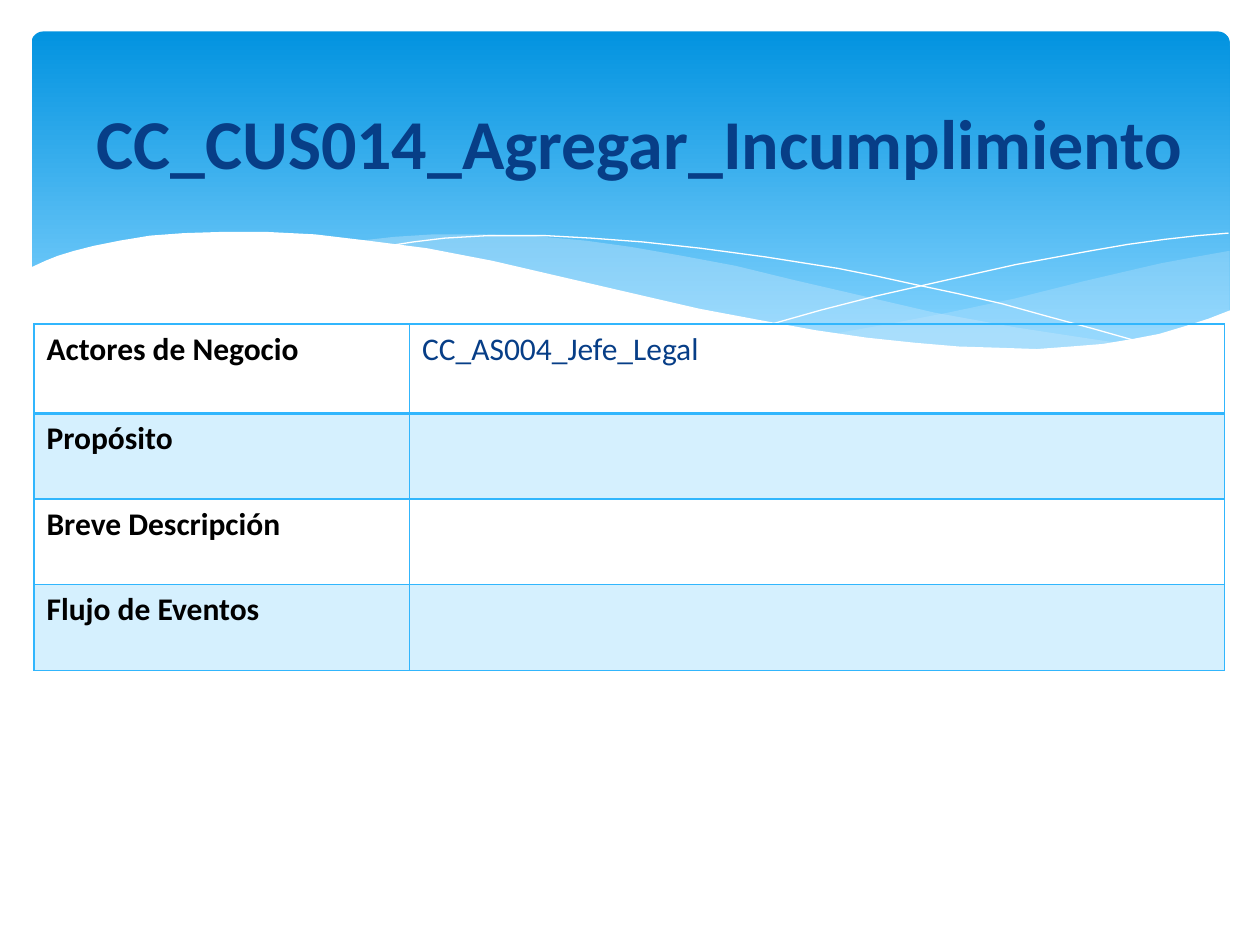
from lxml import etree
from pptx import Presentation
from pptx.dml.color import RGBColor
from pptx.enum.shapes import MSO_SHAPE
from pptx.enum.text import MSO_ANCHOR, PP_ALIGN
from pptx.oxml.ns import qn
from pptx.util import Inches, Pt

ROUNDED = MSO_SHAPE.ROUNDED_RECTANGLE
MIDDLE = MSO_ANCHOR.MIDDLE
CENTER = PP_ALIGN.CENTER

WHITE = RGBColor(0xFF, 0xFF, 0xFF)
BLACK = RGBColor(0x00, 0x00, 0x00)
NAVY = RGBColor(0x07, 0x3E, 0x87)
SKY = RGBColor(0x31, 0xB6, 0xFD)
PALE_BLUE = RGBColor(0xC6, 0xE7, 0xFC)
BANNER_TOP = RGBColor(0x02, 0x93, 0xE0)
BANNER_BOTTOM = RGBColor(0x83, 0xD3, 0xFE)
FONT = "Calibri"

RIGHT_WAVE = [
    (9.76, 1.99), (9.48, 2.04), (9.21, 2.09), (8.91, 2.16), (8.61, 2.23), (8.05, 2.37),
    (7.53, 2.48), (7.06, 2.57), (6.61, 2.65), (6.91, 2.69), (7.18, 2.72), (7.45, 2.75),
    (7.69, 2.77), (8.03, 2.78), (8.35, 2.77), (8.63, 2.75), (8.89, 2.72), (9.13, 2.67),
    (9.35, 2.61), (9.49, 2.57), (9.63, 2.52), (9.76, 2.47),
]
MIDDLE_WAVE = [
    (8.93, 2.73), (8.66, 2.69), (8.07, 2.6), (7.41, 2.48), (6.68, 2.31), (6.29, 2.22),
    (5.84, 2.11), (5.41, 2.03), (5.01, 1.96), (4.65, 1.91), (4.2, 1.87), (3.8, 1.86),
    (3.44, 1.86), (3.13, 1.88), (2.86, 1.91), (3.23, 1.96), (3.62, 2.03), (4.04, 2.11),
    (4.49, 2.22), (4.91, 2.32), (5.3, 2.4), (5.66, 2.48), (6.01, 2.55), (6.34, 2.61),
    (6.65, 2.66), (6.95, 2.7), (7.22, 2.74), (7.48, 2.76), (7.85, 2.78), (8.18, 2.78),
    (8.48, 2.77), (8.76, 2.75),
]
FALLING_LINE = [
    (3.09, 1.95), (3.28, 1.92), (3.53, 1.89), (3.87, 1.87), (4.33, 1.87), (4.69, 1.89),
    (5.1, 1.92), (5.56, 1.97), (6.08, 2.04), (6.65, 2.13), (6.95, 2.19), (7.27, 2.26),
    (7.6, 2.33), (7.95, 2.41), (8.31, 2.51), (8.68, 2.61), (9.07, 2.72),
]
RISING_LINE = [
    (6.13, 2.57), (6.52, 2.46), (6.95, 2.35), (7.48, 2.23), (8.06, 2.1), (8.66, 1.99),
    (8.95, 1.94), (9.24, 1.9), (9.51, 1.87), (9.75, 1.85),
]
WHITE_WAVE = [
    (9.77, 2.46), (9.59, 2.53), (9.4, 2.59), (9.2, 2.65), (8.99, 2.69), (8.75, 2.73),
    (8.5, 2.75), (8.23, 2.77), (7.93, 2.76), (7.61, 2.75), (7.26, 2.72), (6.88, 2.68),
    (6.47, 2.62), (6.03, 2.54), (5.55, 2.45), (5.03, 2.33), (4.47, 2.2), (3.91, 2.07),
    (3.65, 2.02), (3.39, 1.97), (2.92, 1.91), (2.5, 1.86), (2.11, 1.84), (1.77, 1.84),
    (1.46, 1.85), (1.19, 1.87), (0.95, 1.91), (0.75, 1.95), (0.59, 1.99), (0.46, 2.03),
    (0.36, 2.07), (0.23, 2.13), (0.23, 3.29), (9.77, 3.29),
]
WAVES = [
    # points, fill colour (None for an open line), opacity in percent
    (RIGHT_WAVE, PALE_BLUE, 29),
    (MIDDLE_WAVE, PALE_BLUE, 40),
    (FALLING_LINE, None, 100),
    (RISING_LINE, None, 100),
    (WHITE_WAVE, WHITE, 100),
]
ROWS = [
    ("Actores de Negocio", "CC_AS004_Jefe_Legal"),
    ("Propósito", ""),
    ("Breve Descripción", ""),
    ("Flujo de Eventos", ""),
]


def fill_solid(fill, color, opacity, properties):
    """Fill with a colour; opacity is in percent, properties is the fill's parent element."""
    fill.solid()
    fill.fore_color.rgb = color
    if opacity < 100:
        color_element = properties.find(qn("a:solidFill"))[0]
        etree.SubElement(color_element, qn("a:alpha"), val=str(opacity * 1000))


def set_borders(cell, color, widths):
    """Draw the cell's borders; widths are points for left, right, top and bottom."""
    properties = cell._tc.get_or_add_tcPr()
    for index, (side, width) in enumerate(zip("LRTB", widths)):
        line = etree.Element(qn(f"a:ln{side}"), w=str(Pt(width)))
        solid = etree.SubElement(line, qn("a:solidFill"))
        etree.SubElement(solid, qn("a:srgbClr"), val=str(color))
        properties.insert(index, line)


presentation = Presentation()
presentation.slide_width = Inches(10)
presentation.slide_height = Inches(7.5)
slide = presentation.slides.add_slide(presentation.slide_layouts[5])

# Banner
banner = slide.shapes.add_shape(ROUNDED, Inches(0.25), Inches(0.25), Inches(9.51), Inches(2.7))
banner.adjustments[0] = 0.034
banner.shadow.inherit = False
banner.line.fill.background()
banner.fill.gradient()
banner.fill.gradient_angle = 270
stops = [(0, BANNER_TOP), (0.9, BANNER_BOTTOM)]
for stop, (position, color) in zip(banner.fill.gradient_stops, stops):
    stop.position = position
    stop.color.rgb = color

# Waves along the banner's lower edge
for points, color, opacity in WAVES:
    start, *others = [(Inches(x), Inches(y)) for x, y in points]
    builder = slide.shapes.build_freeform(*start)
    builder.add_line_segments(others, close=color is not None)
    wave = builder.convert_to_shape()
    wave.shadow.inherit = False
    if color is None:
        wave.fill.background()
        wave.line.color.rgb = WHITE
        wave.line.width = Pt(0)
    else:
        fill_solid(wave.fill, color, opacity, wave._element.spPr)
        wave.line.fill.background()

# Title, brought in front of the banner
title = slide.shapes.title
slide.shapes._spTree.append(title._element)
title.left, title.top = Inches(0.43), Inches(0.44)
title.width, title.height = Inches(9.29), Inches(1.37)
title.text_frame.text = "CC_CUS014_Agregar_Incumplimiento"
title.text_frame.vertical_anchor = MIDDLE
paragraph = title.text_frame.paragraphs[0]
paragraph.alignment = CENTER
paragraph.font.name = FONT
paragraph.font.size = Pt(40)
paragraph.font.bold = True
paragraph.font.color.rgb = NAVY

# Use case table
table = slide.shapes.add_table(
    len(ROWS), 2, Inches(0.27), Inches(2.57), Inches(9.45), Inches(2.75)
).table
table.first_row = False
table.horz_banding = False
for column, width in zip(table.columns, (2.98, 6.47)):
    column.width = Inches(width)
for row_index, texts in enumerate(ROWS):
    table.rows[row_index].height = Inches(0.71 if row_index == 0 else 0.68)
    top_width = 2 if row_index == 1 else 1
    bottom_width = 2 if row_index == 0 else 1
    for column_index, text in enumerate(texts):
        cell = table.cell(row_index, column_index)
        is_label = column_index == 0
        cell.text = text
        font = cell.text_frame.paragraphs[0].font
        font.name = FONT
        font.size = Pt(18)
        font.bold = is_label
        font.color.rgb = BLACK if is_label else NAVY
        if row_index % 2:
            fill_solid(cell.fill, SKY, 20, cell._tc.get_or_add_tcPr())
        else:
            cell.fill.background()
        set_borders(cell, SKY, (1, 1, top_width, bottom_width))

presentation.save("out.pptx")
